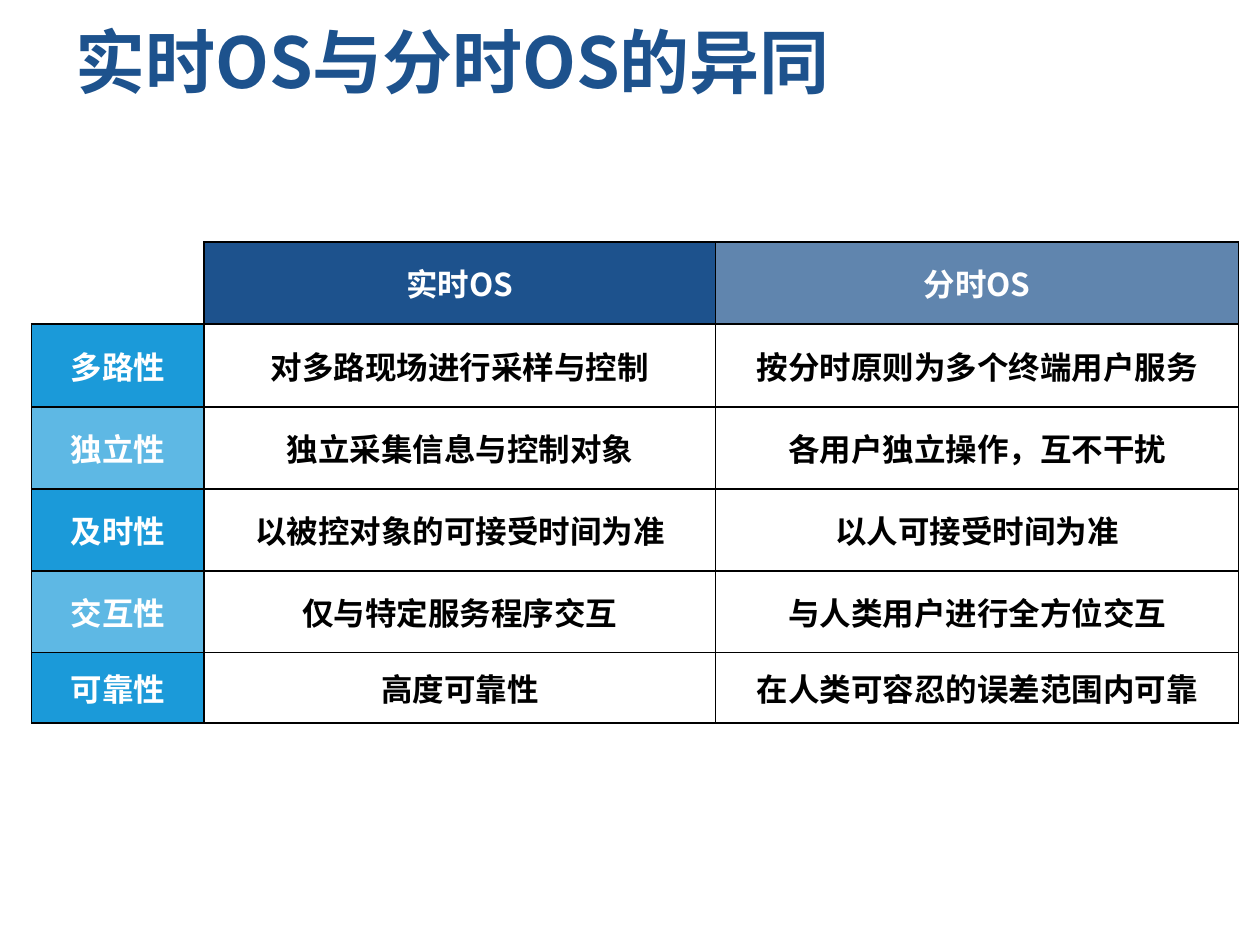
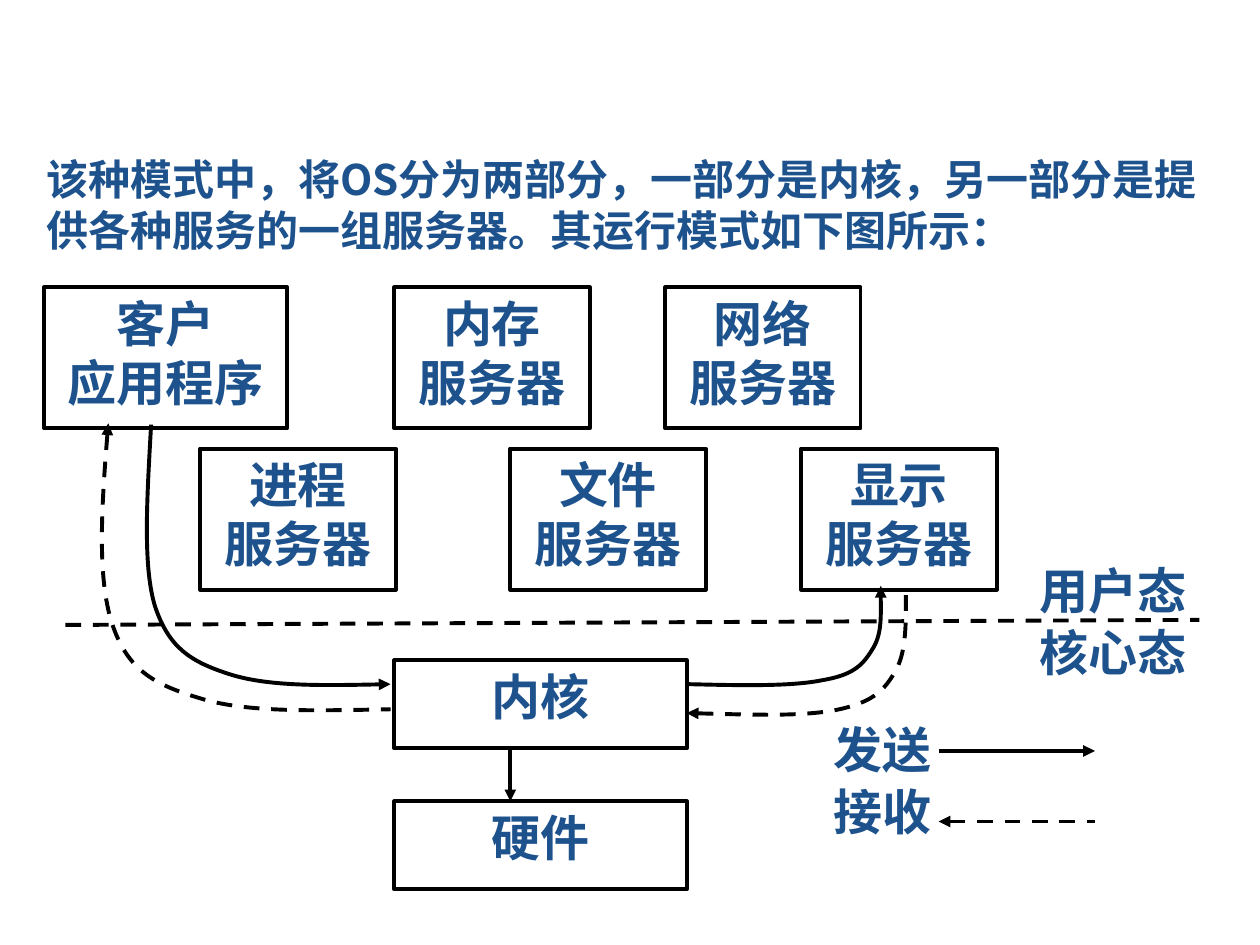
from lxml import etree
from pptx import Presentation
from pptx.dml.color import RGBColor
from pptx.enum import dml, shapes, text
from pptx.oxml import ns
from pptx.util import Inches, Pt

COLORS = {"navy": "1D528D", "sky": "1B9AD9", "white": "FFFFFF", "black": "000000"}
SANS = "Noto Sans CJK SC"
SERIF = "Times New Roman"
LINE_WIDTH = 2.25

COLUMN_WIDTHS = [1.37, 4.06, 4.15]
ROW_HEIGHTS = [0.65, 0.66, 0.65, 0.65, 0.65, 0.56]
COMPARISON = [
    ("", "实时OS", "分时OS"),
    ("多路性", "对多路现场进行采样与控制", "按分时原则为多个终端用户服务"),
    ("独立性", "独立采集信息与控制对象", "各用户独立操作，互不干扰"),
    ("及时性", "以被控对象的可接受时间为准", "以人可接受时间为准"),
    ("交互性", "仅与特定服务程序交互", "与人类用户进行全方位交互"),
    ("可靠性", "高度可靠性", "在人类可容忍的误差范围内可靠"),
]

INTRO = ("该种模式中，将OS分为两部分，一部分是内核，另一部分是"
         "提供各种服务的一组服务器。其运行模式如下图所示：")
UPPER_TOP, LOWER_TOP = 2.28, 3.56
SERVER_WIDTH, SERVER_HEIGHT = 1.55, 1.12
SERVERS = [
    ("内存", 3.13, UPPER_TOP),
    ("网络", 5.28, UPPER_TOP),
    ("进程", 1.59, LOWER_TOP),
    ("文件", 4.05, LOWER_TOP),
    ("显示", 6.36, LOWER_TOP),
]
LABELS = [
    ("用户态", 8.06, 4.4, 0.56),
    ("核心态", 8.06, 4.89, 0.62),
    ("发送", 6.23, 5.66, 0.56),
    ("接收", 6.23, 6.15, 0.62),
]
CLIENT_SEND = [(1.2, 3.37), (1.17, 3.92), (1.13, 4.48), (1.23, 4.81),
               (1.34, 5.14), (1.51, 5.25), (1.82, 5.35),
               (2.13, 5.45), (2.62, 5.44), (3.1, 5.43)]
CLIENT_RECEIVE = [(0.86, 3.36), (0.81, 3.97), (0.77, 4.58), (0.89, 4.95),
                  (1.01, 5.31), (1.21, 5.43), (1.58, 5.54),
                  (1.95, 5.66), (2.53, 5.64), (3.1, 5.63)]
DISPLAY_SEND = [(5.45, 5.43), (5.86, 5.44), (6.27, 5.45), (6.52, 5.4),
                (6.76, 5.36), (6.84, 5.29), (6.92, 5.16),
                (7, 5.04), (6.99, 4.84), (6.99, 4.65)]
DISPLAY_RECEIVE = [(5.45, 5.66), (5.91, 5.67), (6.38, 5.69), (6.66, 5.63),
                   (6.93, 5.57), (7.02, 5.48), (7.11, 5.32),
                   (7.2, 5.16), (7.19, 4.9), (7.19, 4.65)]


def rgb(color):
    return RGBColor.from_string(COLORS[color])


def add_node(parent, tag, **attributes):
    return etree.SubElement(parent, ns.qn(tag), attributes)


def fill_solid(fill, color, opacity=100):
    fill.solid()
    fill.fore_color.rgb = rgb(color)
    if opacity < 100:
        for node in fill._xPr.iter(ns.qn("a:srgbClr")):
            add_node(node, "a:alpha", val=str(opacity * 1000))


def write(frame, lines, size, color="navy", font=SERIF, align=text.PP_ALIGN.CENTER):
    frame.word_wrap = True
    for index, line in enumerate(lines):
        para = frame.add_paragraph() if index else frame.paragraphs[0]
        para.alignment = align
        span = para.add_run()
        span.text = line
        span.font.size = Pt(size)
        span.font.bold = True
        span.font.name = font
        span.font.color.rgb = rgb(color)
        add_node(span._r.get_or_add_rPr(), "a:ea", typeface=SANS)


def add_label(page, lines, left, top, width, height, size=28, **style):
    box = page.shapes.add_textbox(*map(Inches, (left, top, width, height)))
    write(box.text_frame, lines, size, **style)
    return box


def add_block(page, lines, left, top, width, height):
    block = page.shapes.add_shape(shapes.MSO_SHAPE.RECTANGLE,
                                  *map(Inches, (left, top, width, height)))
    block.shadow.inherit = False
    fill_solid(block.fill, "white")
    style_line(block.line)
    block.text_frame.vertical_anchor = text.MSO_ANCHOR.TOP
    write(block.text_frame, lines, 28)


def style_line(line, dashed=False, head=False, tail=False):
    line.color.rgb = rgb("black")
    line.width = Pt(LINE_WIDTH)
    if dashed:
        line.dash_style = dml.MSO_LINE.DASH
    for tag, wanted in (("a:headEnd", head), ("a:tailEnd", tail)):
        if wanted:
            add_node(line._get_or_add_ln(), tag, type="triangle")


def add_line(page, start, end, **style):
    line = page.shapes.add_connector(shapes.MSO_CONNECTOR.STRAIGHT,
                                     *map(Inches, (*start, *end)))
    style_line(line.line, **style)
    add_node(line._element.spPr, "a:effectLst")


def add_curve(page, points, **style):
    corners = [(Inches(x), Inches(y)) for x, y in points]
    builder = page.shapes.build_freeform(*corners[0])
    builder.add_line_segments(corners[1:], close=False)
    curve = builder.convert_to_shape()
    segments = list(curve._element.iter(ns.qn("a:lnTo")))
    outline = segments[0].getparent()
    for first in range(0, len(segments), 3):
        bezier = add_node(outline, "a:cubicBezTo")
        for segment in segments[first:first + 3]:
            bezier.append(segment[0])
            outline.remove(segment)
    curve.shadow.inherit = False
    curve.fill.background()
    style_line(curve.line, **style)


def border_cell(cell, sides):
    properties = cell._tc.get_or_add_tcPr()
    for index, side in enumerate(("L", "R", "T", "B")):
        edge = etree.Element(ns.qn("a:ln" + side), w=str(Pt(1)))
        if side in sides:
            paint = add_node(edge, "a:solidFill")
            add_node(paint, "a:srgbClr", val=COLORS["black"])
        else:
            add_node(edge, "a:noFill")
        properties.insert(index, edge)


def cell_style(row, column):
    if row == 0:
        return "navy", 100 if column == 1 else 70, "white"
    if column == 0:
        return "sky", 100 if row % 2 else 70, "white"
    return "white", (80 if row % 2 else 48) + 2 * (column - 1), "black"


def add_comparison(page, left, top):
    frame = page.shapes.add_table(
        len(ROW_HEIGHTS), len(COLUMN_WIDTHS), Inches(left), Inches(top),
        Inches(sum(COLUMN_WIDTHS)), Inches(sum(ROW_HEIGHTS)))
    table = frame.table
    for column, width in zip(table.columns, COLUMN_WIDTHS):
        column.width = Inches(width)
    for row, height in zip(table.rows, ROW_HEIGHTS):
        row.height = Inches(height)
    for row, entries in enumerate(COMPARISON):
        for column, entry in enumerate(entries):
            cell = table.cell(row, column)
            if not entry:
                cell.fill.background()
                border_cell(cell, "RB")
                continue
            fill, opacity, ink = cell_style(row, column)
            fill_solid(cell.fill, fill, opacity)
            border_cell(cell, "LRTB")
            cell.vertical_anchor = text.MSO_ANCHOR.MIDDLE
            write(cell.text_frame, [entry], 18, ink, SANS)
            cell.text_frame.paragraphs[0].space_before = Pt(3.6)


def build_comparison(page):
    title = add_label(page, ["实时OS与分时OS的异同"], 0.5, 0.17, 9, 0.62,
                      size=40, font=SANS, align=text.PP_ALIGN.LEFT)
    title.text_frame.vertical_anchor = text.MSO_ANCHOR.MIDDLE
    add_comparison(page, 0.25, 1.92)


def build_client_server(page):
    add_label(page, [INTRO], 0.27, 1.17, 9.5, 1.32,
              size=24, font=SANS, align=text.PP_ALIGN.LEFT)
    add_block(page, ["客户", "应用程序"], 0.35, UPPER_TOP, 1.93, SERVER_HEIGHT)
    for name, left, top in SERVERS:
        add_block(page, [name, "服务器"], left, top, SERVER_WIDTH, SERVER_HEIGHT)
    add_line(page, (0.52, 4.96), (9.52, 4.92), dashed=True)
    for name, top in (("内核", 5.24), ("硬件", 6.36)):
        add_block(page, [name], 3.13, top, 2.32, 0.7)
    add_line(page, (4.05, 5.94), (4.05, 6.36), tail=True)
    for points in (CLIENT_SEND, DISPLAY_SEND):
        add_curve(page, points, tail=True)
    for points in (DISPLAY_RECEIVE, CLIENT_RECEIVE):
        add_curve(page, points, dashed=True, head=True)
    add_line(page, (7.45, 5.96), (8.69, 5.96), tail=True)
    add_line(page, (7.45, 6.52), (8.69, 6.52), dashed=True, head=True)
    for name, left, top, height in LABELS:
        add_label(page, [name], left, top, 1.55, height)


def main():
    deck = Presentation()
    deck.slide_width, deck.slide_height = Inches(10), Inches(7.5)
    for build in (build_comparison, build_client_server):
        build(deck.slides.add_slide(deck.slide_layouts[6]))
    deck.save("out.pptx")


if __name__ == "__main__":
    main()
